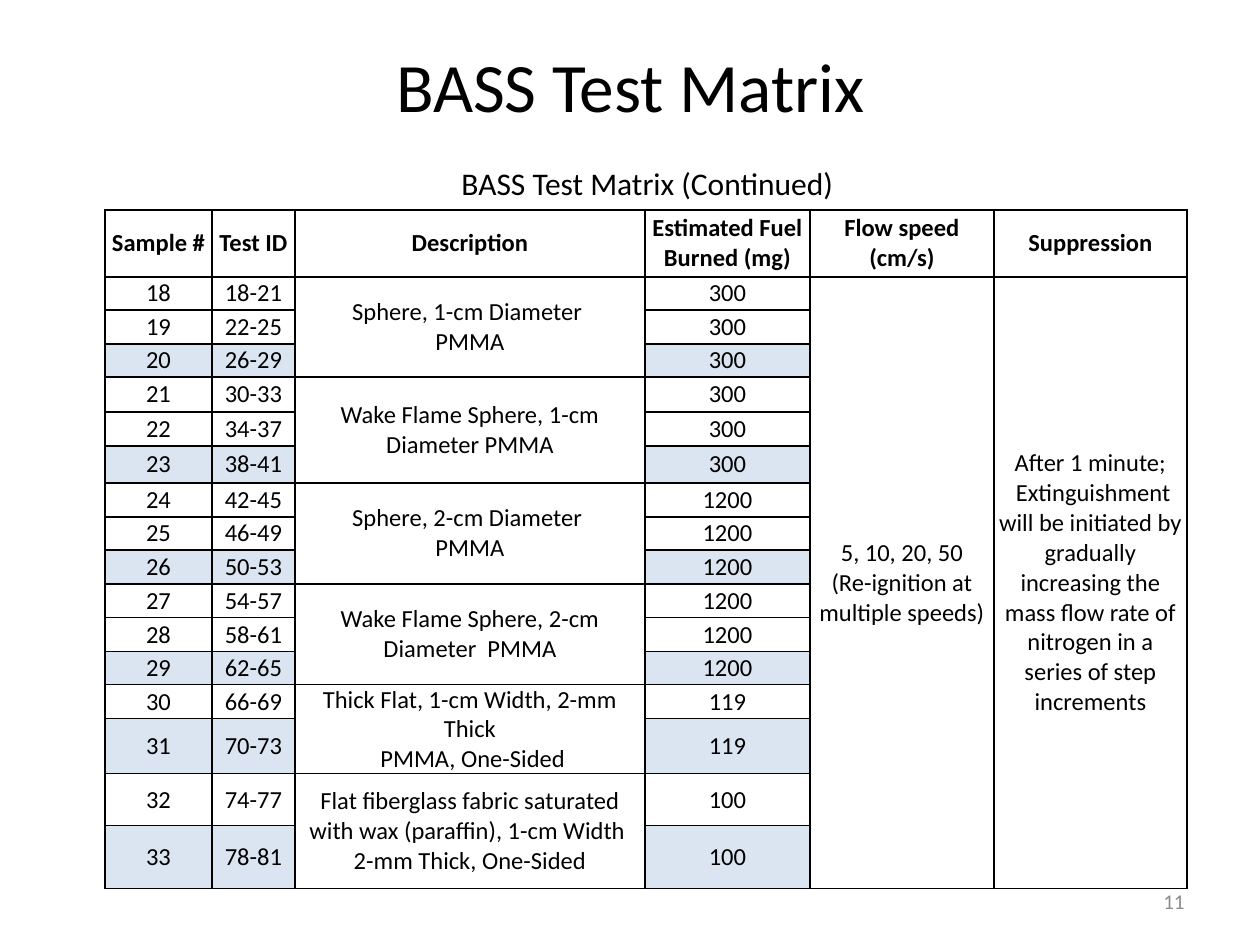
import dataclasses

import lxml.etree
import pptx
import pptx.dml.color
import pptx.enum.text
import pptx.oxml.ns
import pptx.util

EMU_PER_PX = 914400 // 126
ALIGN = pptx.enum.text.PP_ALIGN
ANCHOR = pptx.enum.text.MSO_ANCHOR


@dataclasses.dataclass(frozen=True)
class Theme:
    font: str = "Calibri"
    ink: str = "000000"
    muted: str = "8C8C8C"
    shade: str = "DBE5F1"
    title_size: float = 39.6
    caption_size: float = 18
    cell_size: float = 14
    number_size: float = 12
    border_width: float = 1


THEME = Theme()

HEADINGS = ["Sample #", "Test ID", "Description", "Estimated Fuel Burned (mg)",
            "Flow speed (cm/s)", "Suppression"]
COLUMN_WIDTHS = [107, 83, 350, 165, 184, 193]
HEADER_HEIGHT = 67

# Each group: description, fuel burned, height of each of its rows
GROUPS = [
    ("Sphere, 1-cm Diameter \nPMMA", 300, [33, 34, 33]),
    ("Wake Flame Sphere, 1-cm Diameter PMMA", 300, [35, 34, 37]),
    ("Sphere, 2-cm Diameter \nPMMA", 1200, [34, 33, 34]),
    ("Wake Flame Sphere, 2-cm Diameter  PMMA", 1200, [34, 34, 33]),
    ("Thick Flat, 1-cm Width, 2-mm Thick\n PMMA, One-Sided", 119, [34, 55]),
    ("Flat fiberglass fabric saturated with wax (paraffin), 1-cm Width \n"
     "2-mm Thick, One-Sided", 100, [52, 63]),
]
FLOW_SPEED = "5, 10, 20, 50\n(Re-ignition at multiple speeds)"
SUPPRESSION = ("After 1 minute;\n Extinguishment will be initiated by gradually "
               "increasing the mass flow rate of nitrogen in a series of step increments")
FIRST_SAMPLE = 18
TESTS_PER_SAMPLE = 4


def px(length):
    return pptx.util.Emu(length * EMU_PER_PX)


def rgb(value):
    return pptx.dml.color.RGBColor.from_string(value)


def write_text(frame, text, *, size, color=THEME.ink, bold=False, align=ALIGN.CENTER):
    frame.word_wrap = True
    for index, line in enumerate(text.split("\n")):
        para = frame.add_paragraph() if index else frame.paragraphs[0]
        para.alignment = align
        span = para.add_run()
        span.text = line
        span.font.name = THEME.font
        span.font.size = pptx.util.Pt(size)
        span.font.bold = bold
        span.font.color.rgb = rgb(color)


def add_text(page, text, left, top, width, height, anchor=ANCHOR.MIDDLE, **text_format):
    box = page.shapes.add_textbox(px(left), px(top), px(width), px(height))
    box.text_frame.vertical_anchor = anchor
    write_text(box.text_frame, text, **text_format)


def add_borders(cell):
    properties = cell._tc.get_or_add_tcPr()
    for side in ("lnL", "lnR", "lnT", "lnB"):
        line = lxml.etree.SubElement(properties, pptx.oxml.ns.qn(f"a:{side}"),
                                     w=str(pptx.util.Pt(THEME.border_width)))
        fill = lxml.etree.SubElement(line, pptx.oxml.ns.qn("a:solidFill"))
        lxml.etree.SubElement(fill, pptx.oxml.ns.qn("a:srgbClr"), val=THEME.ink)


def style_cell(cell):
    cell.vertical_anchor = ANCHOR.MIDDLE
    cell.margin_left = cell.margin_right = px(5)
    cell.margin_top = cell.margin_bottom = 0
    add_borders(cell)
    cell.fill.background()


def write_cell(cell, text, bold=False, shaded=False):
    write_text(cell.text_frame, text, size=THEME.cell_size, bold=bold)
    if shaded:
        cell.fill.solid()
        cell.fill.fore_color.rgb = rgb(THEME.shade)


def merge_down(table, column, first, last, text):
    table.cell(first, column).merge(table.cell(last, column))
    write_cell(table.cell(first, column), text)


def add_matrix(page, left, top):
    heights = [HEADER_HEIGHT] + [height for group in GROUPS for height in group[2]]
    table = page.shapes.add_table(len(heights), len(COLUMN_WIDTHS), px(left), px(top),
                                  px(sum(COLUMN_WIDTHS)), px(sum(heights))).table
    table.horz_banding = False
    for column, width in zip(table.columns, COLUMN_WIDTHS):
        column.width = px(width)
    for row, height in zip(table.rows, heights):
        row.height = px(height)
    for cell in table.iter_cells():
        style_cell(cell)

    # Header row
    for column, heading in enumerate(HEADINGS):
        write_cell(table.cell(0, column), heading, bold=True)

    # Sample groups, the last row of each one shaded
    row = 1
    for description, fuel, group_heights in GROUPS:
        last = row + len(group_heights) - 1
        merge_down(table, 2, row, last, description)
        for row in range(row, last + 1):
            test = FIRST_SAMPLE + (row - 1) * TESTS_PER_SAMPLE
            values = {0: FIRST_SAMPLE + row - 1,
                      1: f"{test}-{test + TESTS_PER_SAMPLE - 1}",
                      3: fuel}
            for column, value in values.items():
                write_cell(table.cell(row, column), str(value), shaded=row == last)
        row = last + 1

    # Conditions shared by all samples
    merge_down(table, 4, 1, len(heights) - 1, FLOW_SPEED)
    merge_down(table, 5, 1, len(heights) - 1, SUPPRESSION)


def main():
    deck = pptx.Presentation()
    deck.slide_width, deck.slide_height = px(1260), px(945)
    page = deck.slides.add_slide(deck.slide_layouts[6])

    # Title, page number and caption
    add_text(page, "BASS Test Matrix", 95, 33, 1071, 103, size=THEME.title_size)
    add_text(page, "11", 903, 876, 294, 50, size=THEME.number_size,
             color=THEME.muted, align=ALIGN.RIGHT)
    add_text(page, "BASS Test Matrix (Continued)", 325, 158, 645, 64,
             anchor=ANCHOR.TOP, size=THEME.caption_size)

    # Test matrix
    add_matrix(page, 105, 210)
    deck.save("out.pptx")


if __name__ == "__main__":
    main()
